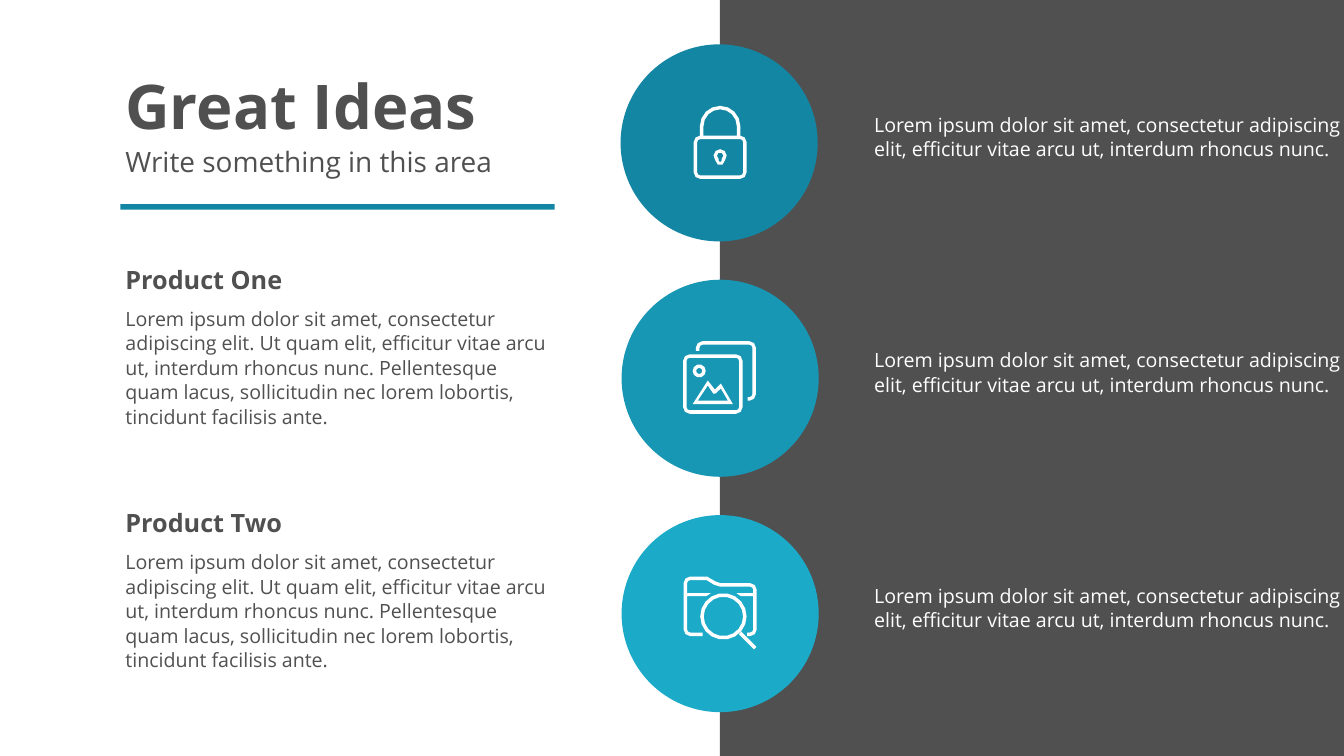
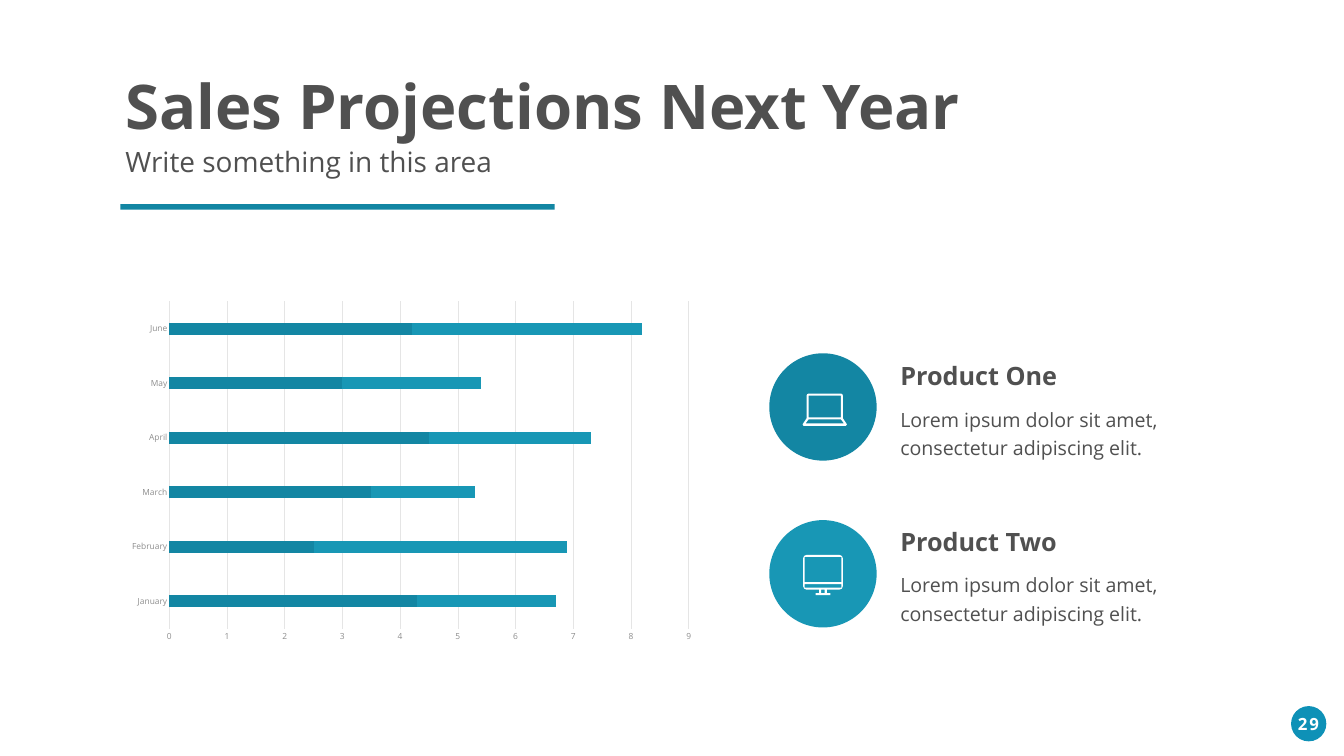
import math

import pptx
import pptx.chart.data
import pptx.dml.color
import pptx.enum.chart
import pptx.enum.shapes
import pptx.enum.text
import pptx.util

PX = 9144
W, H = 2666, 1500
FONT = "Open Sans"
COLORS = {
    "white": "FFFFFF",
    "dark": "505050",
    "deep": "1386A3",
    "mid": "1897B5",
    "light": "1CAAC9",
    "page": "0E91B7",
    "label": "8D8D8D",
    "grid": "E5E5E5",
}
LOREM = "Lorem ipsum dolor sit amet, consectetur adipiscing elit."
MEDIUM = LOREM + " Ut quam elit, efficitur vitae arcu ut, interdum rhoncus nunc."
LONG = MEDIUM + " Pellentesque quam lacus, sollicitudin nec lorem lobortis, tincidunt facilisis ante."
SHAPES = pptx.enum.shapes.MSO_SHAPE


def rgb(key):
    return pptx.dml.color.RGBColor.from_string(COLORS[key])


def px(*values):
    return [pptx.util.Emu(round(v * PX)) for v in values]


def paint(sp, color):
    sp.shadow.inherit = False
    sp.fill.solid()
    sp.fill.fore_color.rgb = rgb(color)
    sp.line.fill.background()


def add_block(s, kind, x, y, w, h, color):
    paint(s.shapes.add_shape(kind, *px(x, y, w, h)), color)


def set_font(font, size, color, bold=False):
    font.name = FONT
    font.size = pptx.util.Pt(size)
    font.bold = bold
    font.color.rgb = rgb(color)


def add_text(s, x, y, w, h, text, size, color="dark", bold=False,
             leading=None, wrap=True, inset=None):
    tf = s.shapes.add_textbox(*px(x, y, w, h)).text_frame
    tf.word_wrap = wrap
    tf.auto_size = pptx.enum.text.MSO_AUTO_SIZE.SHAPE_TO_FIT_TEXT
    if inset:
        tf.margin_left, tf.margin_top = px(*inset)
        tf.margin_right, tf.margin_bottom = px(*inset)
    p = tf.paragraphs[0]
    if leading:
        p.line_spacing = pptx.util.Pt(leading)
    r = p.add_run()
    r.text = text
    set_font(r.font, size, color, bold)
    return p


def arc(cx, cy, radius, start, end, steps=2):
    angles = [math.radians(start + (end - start) * i / steps) for i in range(steps + 1)]
    return [(cx + radius * math.cos(a), cy + radius * math.sin(a)) for a in angles]


def rounded(x, y, w, h, r=0):
    if not r:
        return [(x, y), (x + w, y), (x + w, y + h), (x, y + h)]
    return [
        *arc(x + r, y + r, r, 180, 270),
        *arc(x + w - r, y + r, r, 270, 360),
        *arc(x + w - r, y + h - r, r, 0, 90),
        *arc(x + r, y + h - r, r, 90, 180),
    ]


def frame(x, y, w, h, r, t=7):
    return [rounded(x, y, w, h, r), rounded(x + t, y + t, w - 2 * t, h - 2 * t, r - t)]


def ring(cx, cy, radius, steps, t=7):
    return [arc(cx, cy, r, 0, 360, steps)[:-1] for r in (radius, radius - t)]


def ribbon(points, width=7):
    left, right = [], []
    last = len(points) - 1
    for i, (x, y) in enumerate(points):
        x0, y0 = points[max(i - 1, 0)]
        x1, y1 = points[min(i + 1, last)]
        k = width / 2 / math.hypot(x1 - x0, y1 - y0)
        nx, ny = (y0 - y1) * k, (x1 - x0) * k
        left.append((x + nx, y + ny))
        right.append((x - nx, y - ny))
    return left + right[::-1]


def padlock():
    return [
        *frame(0, 59, 105, 86, 13),
        ribbon([(16, 59), *arc(52.5, 40, 36.5, 180, 360, 8), (89, 59)]),
        arc(52.5, 99, 13, 140, 400, 6) + arc(52.5, 109, 9, 0, 180, 3),
        arc(52.5, 99, 6.5, 120, 420, 5) + arc(52.5, 109, 3, 0, 180),
    ]


def pictures():
    back = [(29, 19), *arc(38.5, 13, 9.5, 180, 270),
            *arc(131.5, 13, 9.5, 270, 360), *arc(131.5, 105, 9.5, 0, 90), (128, 114.5)]
    return [
        ribbon(back),
        *frame(0, 26, 118, 118, 13),
        *ring(32, 59, 13, 10),
        [(19, 125), (49, 78), (63, 96), (75, 84), (99, 125)],
        [(29, 118), (49, 88), (60, 104), (64, 104), (75, 94), (89, 118)],
    ]


def folder_search():
    folder = [(38, 114.5), *arc(13, 105, 9.5, 90, 180), *arc(13, 13, 9.5, 180, 270),
              (46, 3.5), (62, 13), (73, 16.5),
              *arc(132, 26, 9.5, 270, 360), *arc(132, 105, 9.5, 0, 90), (126, 114.5)]
    return [
        ribbon(folder),
        [(7, 33), (54, 33), (45, 39), (7, 39)],
        [(105, 33), (138, 33), (138, 39), (114, 39)],
        *ring(79, 79, 46, 18),
        ribbon([(112, 112), (142, 142)]),
    ]


def laptop():
    return [
        [*arc(12, 4, 4, 180, 270), *arc(76, 4, 4, 270, 360), (80, 49),
         (88, 61), (86, 64), (2, 64), (0, 61), (8, 49)],
        rounded(12, 4, 64, 43),
        [(12, 51), (76, 51), (82, 59), (6, 59)],
    ]


def monitor():
    return [
        rounded(0, 0, 79, 69, 7),
        rounded(3, 4, 73, 50),
        rounded(3, 58, 73, 7),
        rounded(32, 69, 4, 7),
        rounded(43, 69, 4, 7),
        rounded(25, 76, 29, 4),
    ]


def add_icon(s, x, y, contours):
    loops = [[px(x + a, y + b) for a, b in c] for c in contours]
    fb = s.shapes.build_freeform(*loops[0][0])
    for i, loop in enumerate(loops):
        if i:
            fb.move_to(*loop[0])
        fb.add_line_segments(loop[1:], close=True)
    paint(fb.convert_to_shape(), "white")


def add_header(s, title, width, x=239, y=130):
    add_text(s, x, y, width, 158, title, 88, bold=True, wrap=False)
    add_text(s, x, y + 152, 756, 77, "Write something in this area", 40, wrap=False)
    add_block(s, SHAPES.RECTANGLE, x, y + 275, 861, 11, "deep")


def add_product(s, x, y, w, h, title, body, leading):
    add_text(s, x, y + 83, w, h, body, 28, leading=leading)
    add_text(s, x, y, 656, 73, title, 36, bold=True)


def add_page_number(s, x, y, number):
    add_block(s, SHAPES.OVAL, x + 5, y, 70, 70, "page")
    p = add_text(s, x, y + 10, 79, 50, number, 24, "white", bold=True)
    p.alignment = pptx.enum.text.PP_ALIGN.CENTER
    p.runs[0].font._element.set("spc", "300")


def add_projection_chart(s, x, y, w, h):
    data = pptx.chart.data.CategoryChartData()
    data.categories = ["January", "February", "March", "April", "May", "June"]
    data.add_series("Series 1", (4.3, 2.5, 3.5, 4.5, 3, 4.2))
    data.add_series("Series 2", (2.4, 4.4, 1.8, 2.8, 2.4, 4))
    kind = pptx.enum.chart.XL_CHART_TYPE.BAR_STACKED
    chart = s.shapes.add_chart(kind, *px(x, y, w, h), data).chart
    chart.has_legend = False
    chart.has_title = False
    set_font(chart.font, 10, "dark")
    plot = chart.plots[0]
    plot.gap_width, plot.overlap = 350, 100
    plot.vary_by_categories = False
    for series, color in zip(plot.series, ("deep", "mid")):
        series.format.fill.solid()
        series.format.fill.fore_color.rgb = rgb(color)
    cat, val = chart.category_axis, chart.value_axis
    for axis in (cat, val):
        axis.major_tick_mark = pptx.enum.chart.XL_TICK_MARK.NONE
        axis.minor_tick_mark = pptx.enum.chart.XL_TICK_MARK.NONE
        set_font(axis.tick_labels.font, 12, "label")
    val.minimum_scale, val.maximum_scale, val.major_unit = 0, 9, 1
    val.has_major_gridlines = True
    val.format.line.fill.background()
    for line in (cat.format.line, val.major_gridlines.format.line):
        line.color.rgb = rgb("grid")
        line.width = pptx.util.Pt(0.75)


def build_ideas(s):
    top, pitch = 88, 467
    add_block(s, SHAPES.RECTANGLE, 1428, 0, 1674, H, "dark")
    for i, (x, color) in enumerate(((1231, "deep"), (1233, "mid"), (1233, "light"))):
        add_block(s, SHAPES.OVAL, x, top + pitch * i, 391, 391, color)
    add_header(s, "Great Ideas", 724)
    for i, title in enumerate(("Product One", "Product Two")):
        add_product(s, 239, 519 + 483 * i, 860, 252, title, LONG, 35)
    for i in range(3):
        add_text(s, 1710, top + 122 + pitch * i, 1225, 122, MEDIUM, 28, "white",
                 leading=35, inset=(24, 12))
    for i, (x, icon) in enumerate(((1376, padlock), (1355, pictures), (1356, folder_search))):
        add_icon(s, x, top + 122 + pitch * i, icon())


def build_projections(s):
    add_page_number(s, 2556, 1401, "29")
    add_projection_chart(s, 239, 584, 1155, 704)
    add_header(s, "Sales Projections Next Year", 1693)
    products = [
        ("Product One", 701, 711, "deep", laptop, 66, 80),
        ("Product Two", 1032, 1039, "mid", monitor, 67, 69),
    ]
    for title, y, text_y, color, icon, dx, dy in products:
        add_block(s, SHAPES.OVAL, 1526, y, 213, 213, color)
        add_icon(s, 1526 + dx, y + dy, icon())
        add_product(s, 1776, text_y, 656, 122, title, LOREM, 40.8)


def main():
    prs = pptx.Presentation()
    prs.slide_width, prs.slide_height = px(W, H)
    for build in (build_ideas, build_projections):
        s = prs.slides.add_slide(prs.slide_layouts[6])
        s.background.fill.solid()
        s.background.fill.fore_color.rgb = rgb("white")
        build(s)
    prs.save("out.pptx")


if __name__ == "__main__":
    main()
